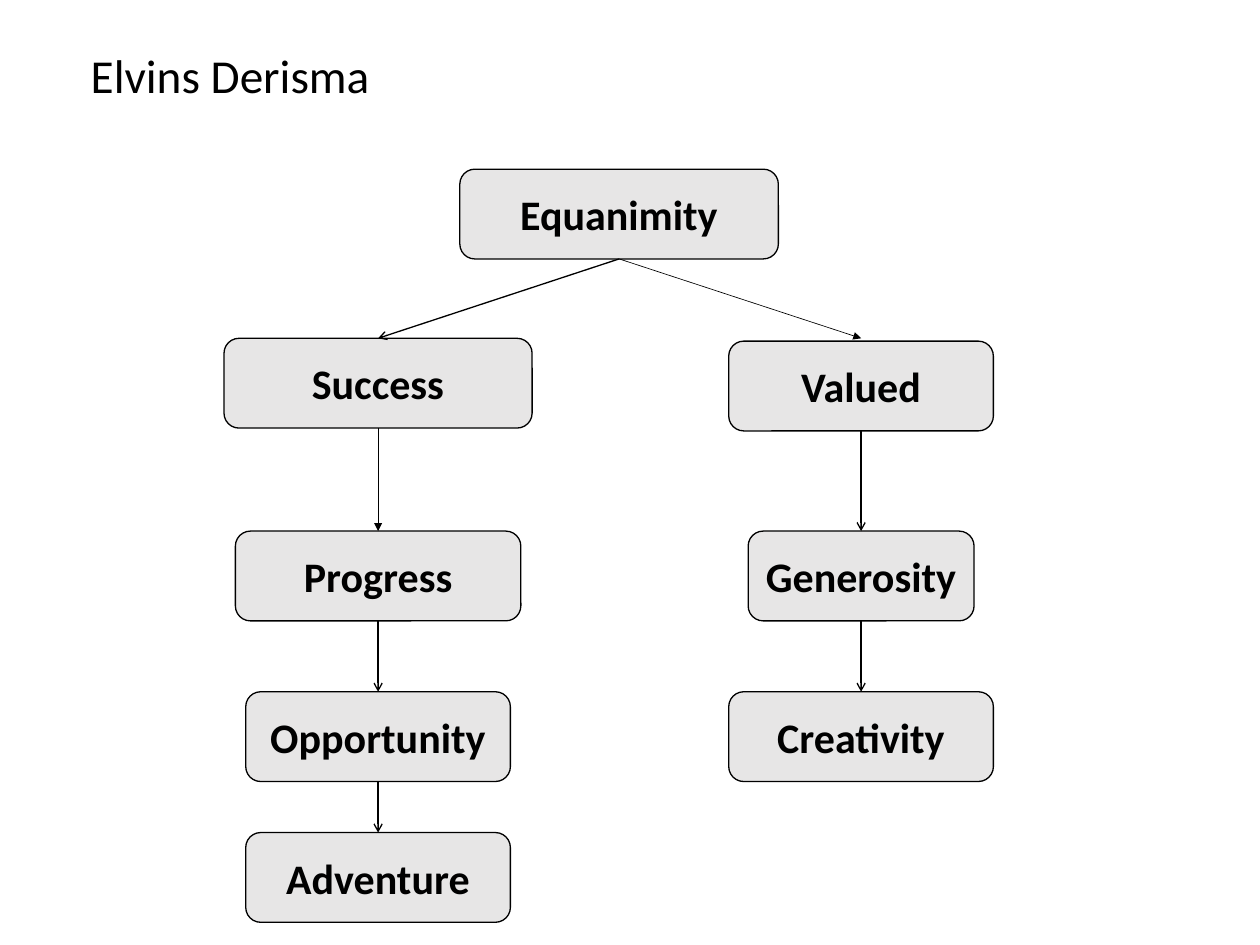
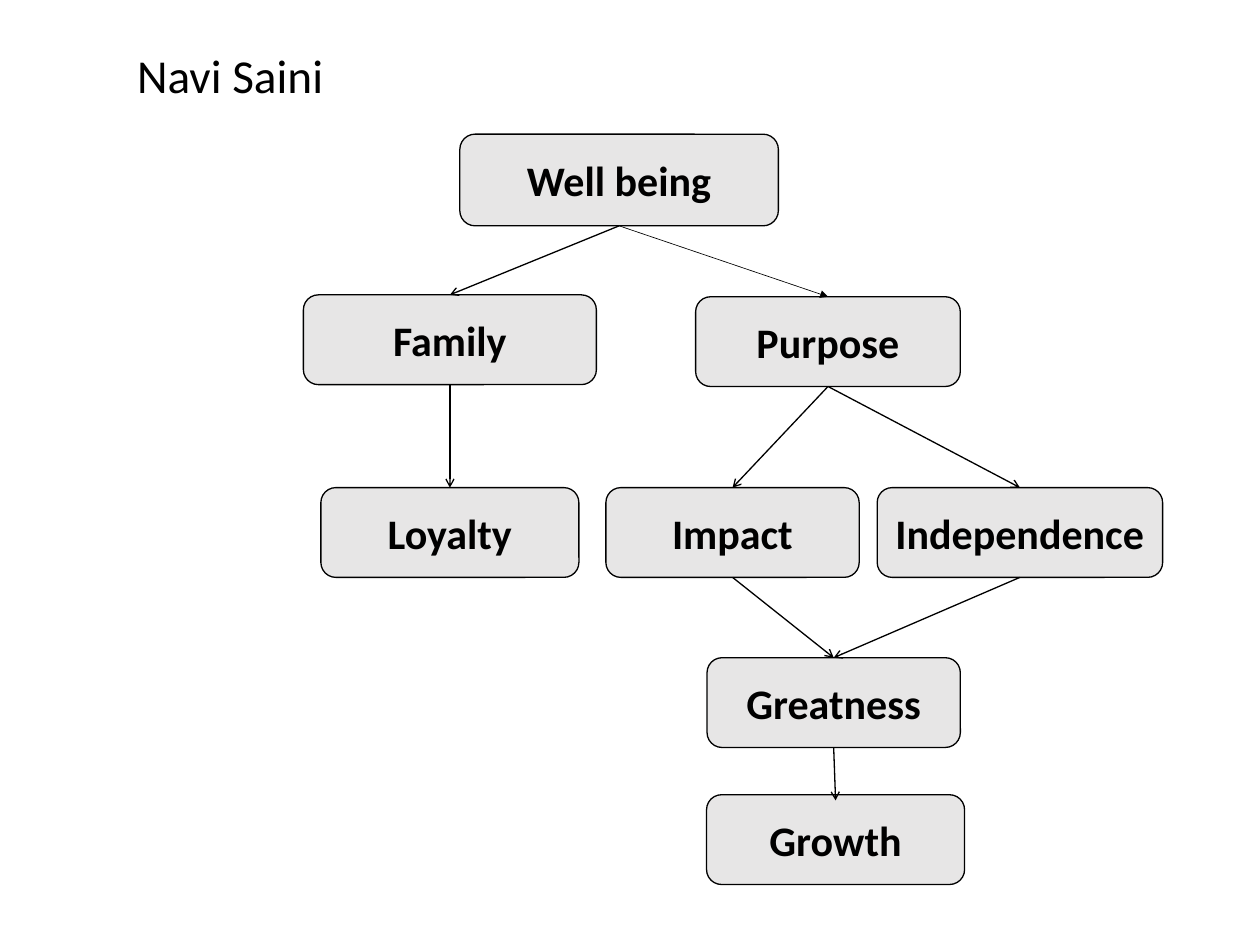
from lxml.etree import SubElement
from pptx import Presentation
from pptx.dml.color import RGBColor
from pptx.enum.shapes import MSO_CONNECTOR as Connector, MSO_SHAPE as Shape
from pptx.enum.text import MSO_ANCHOR as Anchor, PP_ALIGN as Align
from pptx.oxml.ns import qn
from pptx.util import Inches, Pt

FONT = "Calibri"
INK = "000000"
BOX_FILL = "E7E6E6"
BOX_HEIGHT = 0.95
BOTTOM, TOP = 2, 0


def color(value):
    """Turn a hex string into a colour."""
    return RGBColor.from_string(value)


class ValueMap:
    """Draws a ladder of values, one slide per person."""

    def __init__(self, deck):
        """Keep the deck and its blank layout."""
        self.deck = deck
        self.blank = deck.slide_layouts[6]
        self.slide = None

    def start(self, person):
        """Add a slide headed by a person's name."""
        self.slide = self.deck.slides.add_slide(self.blank)
        heading = self.slide.shapes.add_textbox(
            Inches(0), Inches(0.43), Inches(4.87), Inches(0.71))
        self.label(heading, person, 36)

    def label(self, holder, words, size, bold=False):
        """Put one centred line of text in a shape."""
        frame = holder.text_frame
        frame.word_wrap = True
        frame.vertical_anchor = Anchor.MIDDLE
        paragraph = frame.paragraphs[0]
        paragraph.alignment = Align.CENTER
        run = paragraph.add_run()
        run.text = words
        run.font.name = FONT
        run.font.size = Pt(size)
        run.font.bold = bold
        run.font.color.rgb = color(INK)

    def box(self, value, center, top, width, height=BOX_HEIGHT):
        """Add a rounded box for a value, placed by its centre line."""
        box = self.slide.shapes.add_shape(
            Shape.ROUNDED_RECTANGLE, Inches(center - width / 2), Inches(top),
            Inches(width), Inches(height))
        box.shadow.inherit = False
        box.fill.solid()
        box.fill.fore_color.rgb = color(BOX_FILL)
        box.line.color.rgb = color(INK)
        box.line.width = Pt(1)
        self.label(box, value, 32, bold=True)
        return box

    def arrow(self, upper, lower, width=1, head="arrow", shift=0):
        """Lead from one box down to the next, ending shifted from its top."""
        link = self.slide.shapes.add_connector(
            Connector.STRAIGHT, upper.left + upper.width // 2,
            upper.top + upper.height, lower.left + lower.width // 2,
            lower.top + Inches(shift))
        link.begin_connect(upper, BOTTOM)
        if not shift:
            link.end_connect(lower, TOP)
        link.line.color.rgb = color(INK)
        link.line.width = Pt(width)
        properties = link.element.spPr
        SubElement(properties.find(qn("a:ln")), qn("a:tailEnd"), type=head)
        SubElement(properties, qn("a:effectLst"))

    def thin_arrow(self, upper, lower, shift=0):
        """Add a hairline arrow with a filled head."""
        self.arrow(upper, lower, 0.5, "triangle", shift)


def add_elvins(ladder):
    """Build the ladder that leads down from equanimity."""
    ladder.start("Elvins Derisma")
    left, right = 4, 9.11
    equanimity = ladder.box("Equanimity", 6.55, 1.79, 3.37)
    success = ladder.box("Success", left, 3.58, 3.26)
    progress = ladder.box("Progress", left, 5.62, 3.02)
    opportunity = ladder.box("Opportunity", left, 7.32, 2.8)
    adventure = ladder.box("Adventure", left, 8.81, 2.8)
    valued = ladder.box("Valued", right, 3.61, 2.8)
    generosity = ladder.box("Generosity", right, 5.62, 2.39)
    creativity = ladder.box("Creativity", right, 7.32, 2.8)

    ladder.thin_arrow(equanimity, valued, shift=-0.03)
    ladder.thin_arrow(success, progress)
    for upper, lower in [(equanimity, success), (progress, opportunity),
                         (opportunity, adventure), (valued, generosity),
                         (generosity, creativity)]:
        ladder.arrow(upper, lower)


def add_navi(ladder):
    """Build the ladder that leads down from well being."""
    ladder.start("Navi Saini")
    row = 5.16
    well_being = ladder.box("Well being", 6.55, 1.42, 3.37, 0.97)
    family = ladder.box("Family", 4.76, 3.12, 3.1)
    purpose = ladder.box("Purpose", 8.76, 3.14, 2.8)
    loyalty = ladder.box("Loyalty", 4.76, row, 2.73)
    impact = ladder.box("Impact", 7.75, row, 2.68)
    independence = ladder.box("Independence", 10.79, row, 3.02)
    greatness = ladder.box("Greatness", 8.82, 6.96, 2.68)
    growth = ladder.box("Growth", 8.84, 8.41, 2.73)

    ladder.thin_arrow(well_being, purpose)
    for upper, lower in [(well_being, family), (family, loyalty),
                         (purpose, impact), (purpose, independence),
                         (impact, greatness), (independence, greatness)]:
        ladder.arrow(upper, lower)
    ladder.arrow(greatness, growth, shift=0.06)


def main():
    """Build and save the deck."""
    deck = Presentation()
    deck.slide_width = Inches(13.33)
    deck.slide_height = Inches(10)
    ladder = ValueMap(deck)
    add_elvins(ladder)
    add_navi(ladder)
    deck.save("out.pptx")


if __name__ == "__main__":
    main()
